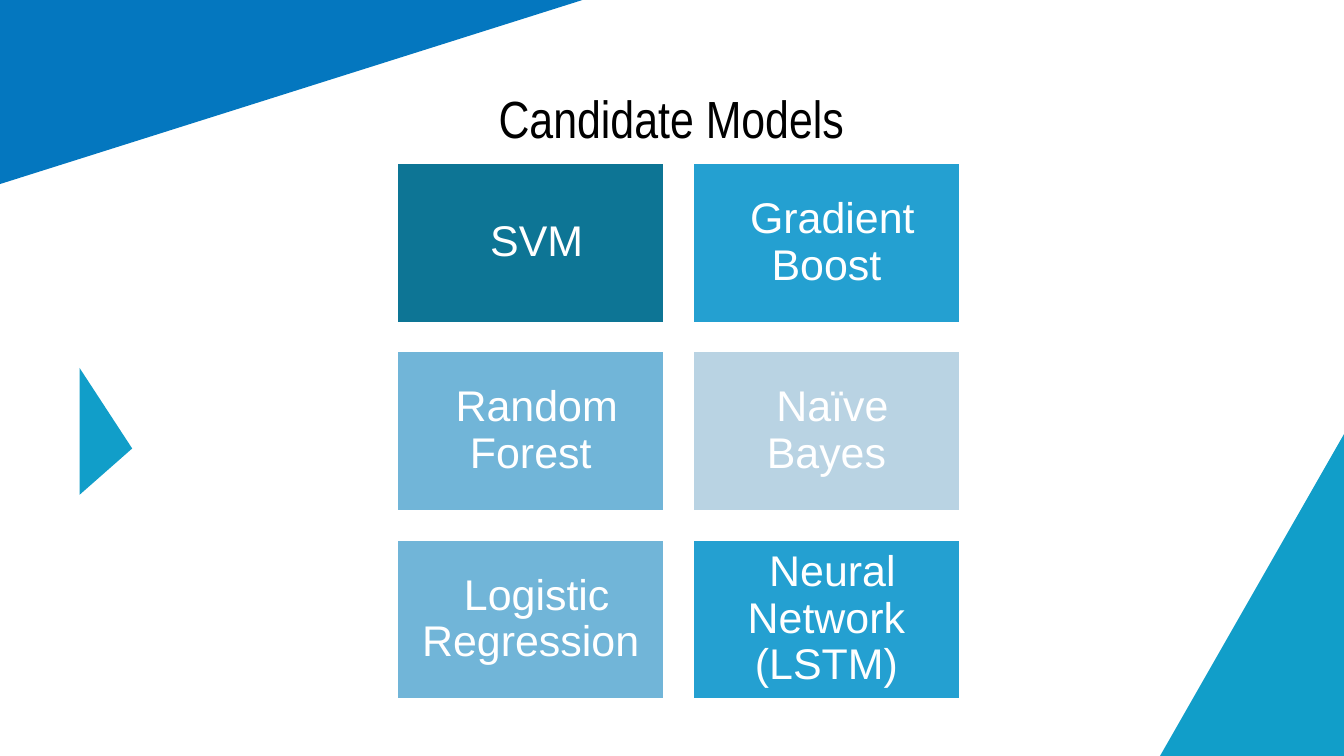
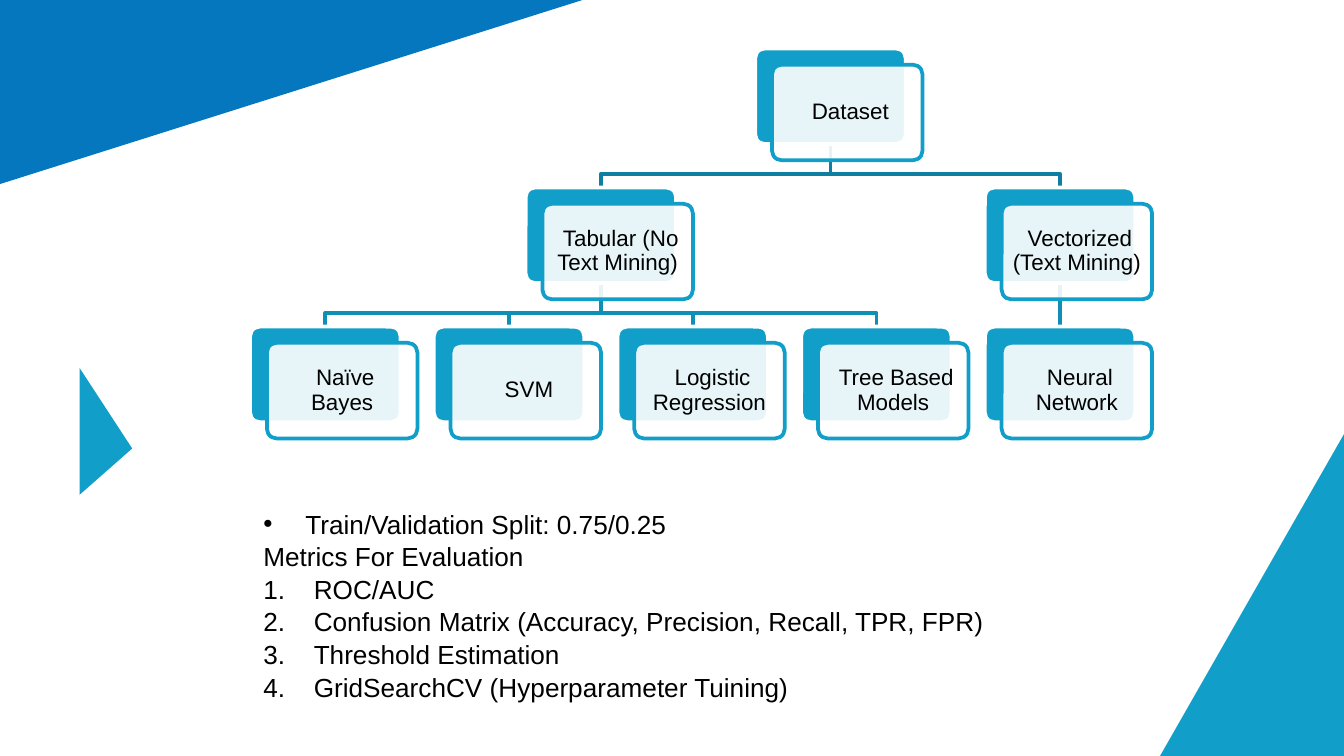
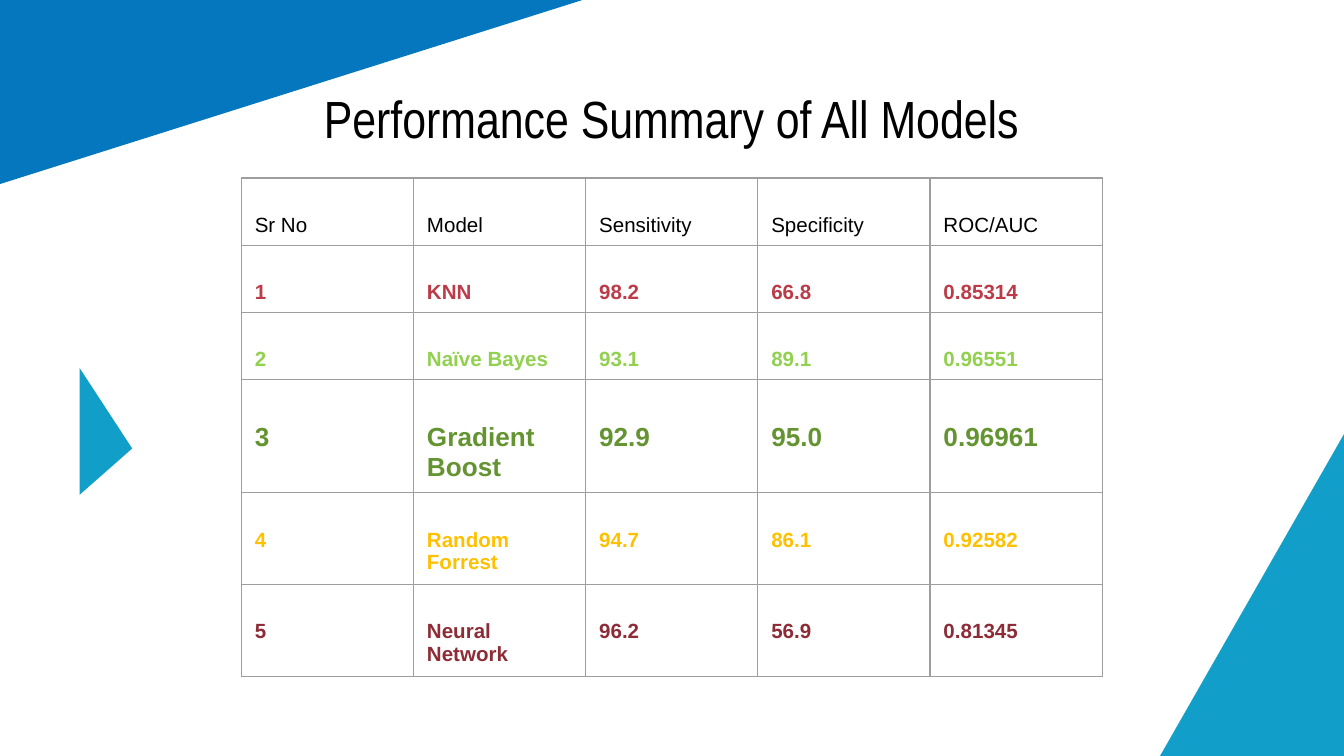
import pptx
import pptx.dml.color
import pptx.enum.shapes
import pptx.enum.text
import pptx.oxml.ns
import pptx.oxml.xmlchemy
import pptx.util

Pt = pptx.util.Pt
SHAPE = pptx.enum.shapes.MSO_SHAPE
ALIGN = pptx.enum.text.PP_ALIGN
ANCHOR = pptx.enum.text.MSO_ANCHOR
qn = pptx.oxml.ns.qn


class Theme:
    width, height = 720, 405
    font, title_font = "Arial", "Arial Narrow"
    title, tile, list, card, cell, cell_big = 28, 23, 14, 12, 11, 14
    black, white = "000000", "FFFFFF"
    blue, cyan = "0477BF", "119EC9"
    deep, bright, soft, pale = "0D7595", "24A0D1", "71B5D8", "B9D3E3"
    root_link, leaf_link = "0E7FA1", "0F8FB6"
    red, lime, green, amber, maroon = "BC3B48", "92D050", "649431", "FFC000", "8D2C36"
    grid = "9E9E9E"
    space = 0.28  # width of a space, as a share of the type size


def rgb(value):
    return pptx.dml.color.RGBColor.from_string(value)


def add_xml(parent, tag, **attributes):
    element = pptx.oxml.xmlchemy.OxmlElement(tag)
    for name, value in attributes.items():
        element.set(name, str(value))
    parent.append(element)
    return element


class Deck:
    def __init__(self, theme):
        self.t = theme
        self.prs = pptx.Presentation()
        self.prs.slide_width = Pt(theme.width)
        self.prs.slide_height = Pt(theme.height)
        self.s = None

    def slide(self, title=None):
        self.s = self.prs.slides.add_slide(self.prs.slide_layouts[6])
        # Corner and side triangles
        corner = self.shape(SHAPE.RIGHT_TRIANGLE, 0, 0, 312, 98.6, self.t.blue, turn=180)
        corner.element.spPr.xfrm.set("flipH", "1")
        self.shape(SHAPE.RIGHT_TRIANGLE, 584.5, 269.5, 172.5, 98.6, self.t.cyan, turn=270)
        marker = self.shape(SHAPE.ISOSCELES_TRIANGLE, 22.7, 217, 68, 28.2, self.t.cyan, turn=90)
        marker.adjustments[0] = 0.635
        if title:
            tf = self.text_box(40.5, 38.9, 638, 45.4, inset=7.2)
            self.paragraph(tf.paragraphs[0], title, self.t.title, font=self.t.title_font,
                           align=ALIGN.CENTER)

    def shape(self, kind, x, y, w, h, fill, line=None, turn=0):
        sp = self.s.shapes.add_shape(kind, Pt(x), Pt(y), Pt(w), Pt(h))
        sp.shadow.inherit = False
        sp.rotation = turn
        sp.fill.solid()
        sp.fill.fore_color.rgb = rgb(fill)
        self.stroke(sp.line, line)
        return sp

    def stroke(self, line, color):
        if color:
            line.color.rgb = rgb(color)
            line.width = Pt(2)
        else:
            line.fill.background()

    def margins(self, tf, inset, inset_y=None):
        tf.word_wrap = True
        tf.margin_left = tf.margin_right = Pt(inset)
        tf.margin_top = tf.margin_bottom = Pt(inset if inset_y is None else inset_y)

    def text_box(self, x, y, w, h, inset, inset_y=None):
        tf = self.s.shapes.add_textbox(Pt(x), Pt(y), Pt(w), Pt(h)).text_frame
        self.margins(tf, inset, inset_y)
        return tf

    def paragraph(self, p, text, size, color=None, font=None, align=ALIGN.LEFT, bold=False):
        p.text = text
        p.alignment = align
        for r in p.runs:
            r.font.name = font or self.t.font
            r.font.size = Pt(size)
            r.font.bold = bold
            r.font.color.rgb = rgb(color or self.t.black)

    def label(self, sp, text, size, color, inset):
        tf = sp.text_frame
        self.margins(tf, inset)
        tf.vertical_anchor = ANCHOR.MIDDLE
        p = tf.paragraphs[0]
        self.paragraph(p, text, size, color, align=ALIGN.CENTER)
        p.line_spacing = 0.9
        # First line starts one space in
        pPr = p._p.get_or_add_pPr()
        pPr.set("marL", "0")
        pPr.set("indent", str(Pt(size * self.t.space)))

    def tile(self, x, y, w, h, text, fill):
        sp = self.shape(SHAPE.RECTANGLE, x, y, w, h, fill, self.t.white)
        self.label(sp, text, self.t.tile, self.t.white, 7.2)

    def card(self, x, y, w, h, text):
        back = self.shape(SHAPE.ROUNDED_RECTANGLE, x, y, w, h, self.t.cyan, self.t.white)
        front = self.shape(SHAPE.ROUNDED_RECTANGLE, x + 9, y + 8.7, w, h, self.t.white, self.t.cyan)
        for sp in (back, front):
            sp.adjustments[0] = 0.1
        color = front.element.spPr.find(qn("a:solidFill"))[0]
        add_xml(color, "a:alpha", val=90000)
        self.label(front, text, self.t.card, self.t.black, 3.6)
        return back

    def straight_link(self, x1, y1, x2, y2, color):
        line = self.s.shapes.add_connector(pptx.enum.shapes.MSO_CONNECTOR.STRAIGHT,
                                           Pt(x1), Pt(y1), Pt(x2), Pt(y2))
        self.stroke(line.line, color)
        add_xml(line._element.spPr, "a:effectLst")
        return line

    def elbow_link(self, x1, y1, x2, y2, color):
        bend = y2 - 7.3
        outline = self.s.shapes.build_freeform(Pt(x1), Pt(y1))
        outline.add_line_segments([(Pt(x1), Pt(bend)), (Pt(x2), Pt(bend)), (Pt(x2), Pt(y2))],
                                  close=False)
        sp = outline.convert_to_shape()
        sp.shadow.inherit = False
        sp.fill.background()
        self.stroke(sp.line, color)

    def list(self, x, y, w, h, items):
        tf = self.text_box(x, y, w, h, 7.2, 3.6)
        for i, (marker, text) in enumerate(items):
            p = tf.paragraphs[0] if i == 0 else tf.add_paragraph()
            pPr = p._p.get_or_add_pPr()
            if marker:
                indent = Pt(22.5 if marker == "•" else 27)
                pPr.set("marL", str(indent))
                pPr.set("indent", str(-indent))
                add_xml(pPr, "a:buFont", typeface=self.t.font)
                if marker == "•":
                    add_xml(pPr, "a:buChar", char=marker)
                else:
                    add_xml(pPr, "a:buAutoNum", type=marker)
            self.paragraph(p, text, self.t.list)
            p.line_spacing = 1.04

    def table(self, x, y, col_width, rows):
        """Each row is (height, top margin, size, colour, bold, texts)."""
        count = len(rows[0][-1])
        total = sum(row[0] for row in rows)
        table = self.s.shapes.add_table(len(rows), count, Pt(x), Pt(y),
                                        Pt(col_width * count), Pt(total)).table
        table.first_row = table.horz_banding = False
        for column in table.columns:
            column.width = Pt(col_width)
        for i, (height, top, size, color, bold, texts) in enumerate(rows):
            table.rows[i].height = Pt(height)
            for j, text in enumerate(texts):
                cell = table.cell(i, j)
                self.paragraph(cell.text_frame.paragraphs[0], text, size, color, bold=bold)
                cell.margin_left = cell.margin_right = Pt(7.2)
                cell.margin_top, cell.margin_bottom = Pt(top), Pt(3.6)
                self.borders(cell)
                cell.fill.background()

    def borders(self, cell):
        tcPr = cell._tc.get_or_add_tcPr()
        for side in ("a:lnL", "a:lnR", "a:lnT", "a:lnB"):
            ln = add_xml(tcPr, side, w=Pt(0.75))
            add_xml(add_xml(ln, "a:solidFill"), "a:srgbClr", val=self.t.grid)


def candidate_models(d):
    t = d.t
    d.slide("Candidate Models")
    models = [("SVM", t.deep), ("Gradient Boost", t.bright),
              ("Random Forest", t.soft), ("Naïve Bayes", t.pale),
              ("Logistic Regression", t.soft), ("Neural Network (LSTM)", t.bright)]
    for i, (name, fill) in enumerate(models):
        row, col = divmod(i, 2)
        d.tile(212.4 + 158.4 * col, 87 + 100.8 * row, 144, 86.4, name, fill)


def dataset_tree(d):
    t = d.t
    d.slide()
    w, h = 80.6, 51.2
    # Name: (column, level, parent)
    nodes = {
        "Dataset": (2.75, 0, None),
        "Tabular (No Text Mining)": (1.5, 1, "Dataset"),
        "Vectorized (Text Mining)": (4, 1, "Dataset"),
        "Naïve Bayes": (0, 2, "Tabular (No Text Mining)"),
        "SVM": (1, 2, "Tabular (No Text Mining)"),
        "Logistic Regression": (2, 2, "Tabular (No Text Mining)"),
        "Tree Based Models": (3, 2, "Tabular (No Text Mining)"),
        "Neural Network": (4, 2, "Vectorized (Text Mining)"),
    }
    spots = {name: (134 + 98.4 * col, 26 + 74.5 * level)
             for name, (col, level, _) in nodes.items()}

    # Links lie behind the cards
    straight = []
    for name, (col, level, parent) in nodes.items():
        if parent is None:
            continue
        (px, py), (x, y) = spots[parent], spots[name]
        ends = (px + w / 2, py + h, x + w / 2, y)
        color = t.root_link if level == 1 else t.leaf_link
        if px == x:
            straight.append((d.straight_link(*ends, color), parent, name))
        else:
            d.elbow_link(*ends, color)

    cards = {name: d.card(x, y, w, h, name) for name, (x, y) in spots.items()}
    for line, parent, child in straight:
        line.begin_connect(cards[parent], 2)
        line.end_connect(cards[child], 0)

    # Split and metrics
    metrics = ["ROC/AUC", "Confusion Matrix (Accuracy, Precision, Recall, TPR, FPR)",
               "Threshold Estimation", "GridSearchCV (Hyperparameter Tuining)"]
    d.list(134, 268, 444, 126,
           [("•", "Train/Validation Split: 0.75/0.25"), (None, "Metrics For Evaluation")]
           + [("arabicPeriod", metric) for metric in metrics])


def performance_summary(d):
    t = d.t
    d.slide("Performance Summary of All Models")
    one_line, two_lines = (35.3, 19.2, t.cell), (47.3, 19.2, t.cell)
    best = (58.9, 23.2, t.cell_big)
    d.table(129.3, 95.4, 92.25, [
        (*one_line, t.black, False, ["Sr No", "Model", "Sensitivity", "Specificity", "ROC/AUC"]),
        (*one_line, t.red, True, ["1", "KNN", "98.2", "66.8", "0.85314"]),
        (*one_line, t.lime, True, ["2", "Naïve Bayes", "93.1", "89.1", "0.96551"]),
        (*best, t.green, True, ["3", "Gradient Boost", "92.9", "95.0", "0.96961"]),
        (*two_lines, t.amber, True, ["4", "Random Forrest", "94.7", "86.1", "0.92582"]),
        (*two_lines, t.maroon, True, ["5", "Neural Network", "96.2", "56.9", "0.81345"]),
    ])


def main():
    d = Deck(Theme())
    candidate_models(d)
    dataset_tree(d)
    performance_summary(d)
    d.prs.save("out.pptx")


if __name__ == "__main__":
    main()
